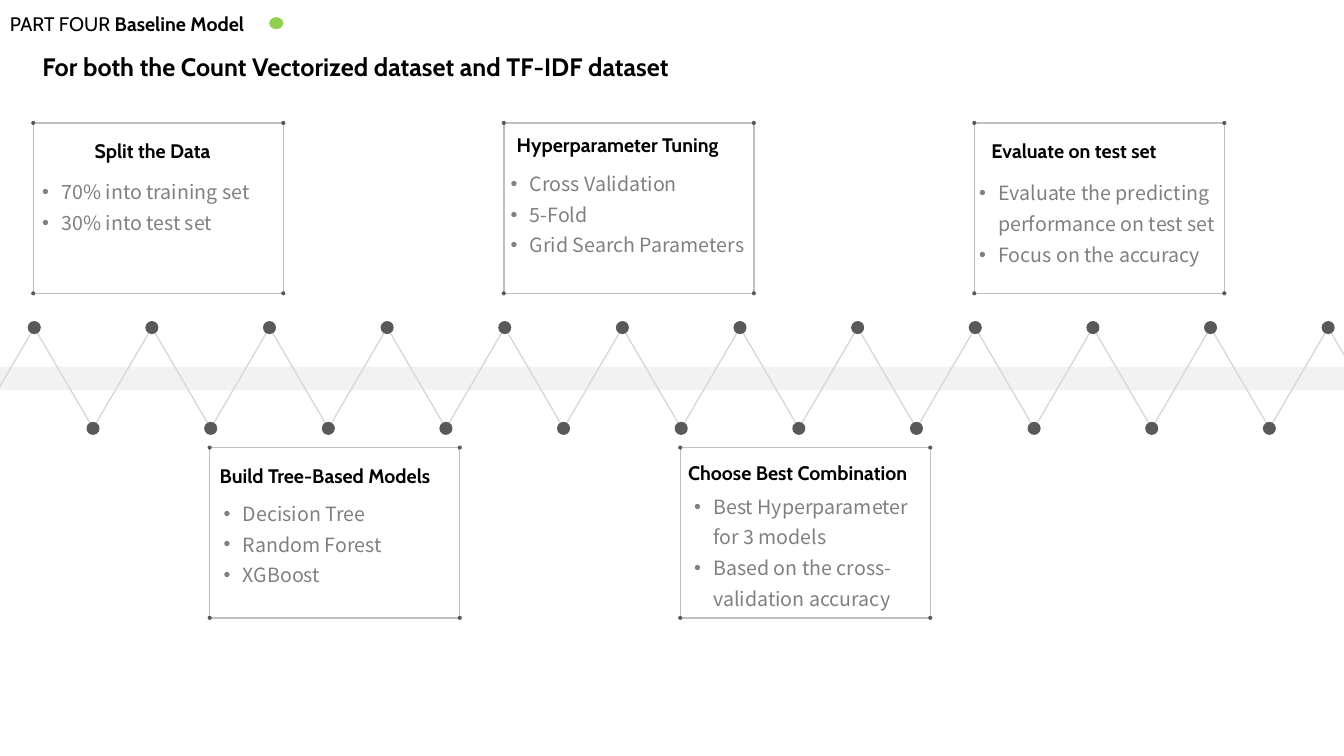
from dataclasses import dataclass

from lxml import etree
from pptx import Presentation
from pptx import util as u
from pptx.dml import color
from pptx.enum import shapes, text
from pptx.oxml import ns

COLORS = {
    "black": "000000", "white": "FFFFFF", "band": "F2F2F2", "zigzag": "D9D9D9",
    "frame": "BFBFBF", "dot": "595959", "body": "808080", "accent": "92D050",
}
HEADING_FONT = "Cabin"
BODY_FONT = "Noto Sans CJK SC"

SLIDE_WIDTH, SLIDE_HEIGHT = 13.33, 7.5
PEAK_COUNT = 12
PITCH = 14 / PEAK_COUNT
FIRST_PEAK = 0.34
ZIGZAG_TOP, ZIGZAG_HEIGHT = 3.25, 1
CARD_WIDTH, CARD_HEIGHT = 2.48, 1.69


@dataclass
class Card:
    """Heading and body boxes are (left, top, width) relative to the card."""
    column: float  # position on the zigzag, in peaks
    top: float
    heading: str
    heading_box: tuple
    bullets: list
    body_box: tuple


CARDS = [
    Card(0, 1.22, "Split the Data", (0.51, 0.11, 1.77),
         ["70% into training set", "30% into test set"], (-0.01, 0.45, 2.39)),
    Card(1.5, 4.44, "Build Tree-Based Models", (0, 0.11, 2.54),
         ["Decision Tree", "Random Forest", "XGBoost"], (0.04, 0.42, 2.39)),
    Card(4, 1.22, "Hyperparameter Tuning", (0.03, 0.05, 2.47),
         ["Cross Validation", "5-Fold", "Grid Search Parameters"], (-0.03, 0.37, 3.54)),
    Card(5.5, 4.44, "Choose Best Combination", (-0.02, 0.08, 2.63),
         ["Best Hyperparameter for 3 models",
          "Based on the cross-validation accuracy"], (0.04, 0.35, 2.39)),
    Card(8, 1.22, "Evaluate on test set", (0.07, 0.11, 2.07),
         ["Evaluate the predicting performance on test set",
          "Focus on the accuracy"], (-0.05, 0.46, 3.03)),
]


def rgb(name):
    return color.RGBColor.from_string(COLORS[name])


def peak_x(column):
    return FIRST_PEAK + column * PITCH


def add_figure(container, kind, left, top, width, height, fill=None, line=None):
    shape = container.add_shape(kind, u.Inches(left), u.Inches(top),
                                u.Inches(width), u.Inches(height))
    shape.shadow.inherit = False
    if fill:
        shape.fill.solid()
        shape.fill.fore_color.rgb = rgb(fill)
    else:
        shape.fill.background()
    if line:
        shape.line.color.rgb = rgb(line)
        shape.line.width = u.Pt(1)
    else:
        shape.line.fill.background()
    return shape


def add_dot(container, x, y, size):
    add_figure(container, shapes.MSO_SHAPE.OVAL, x - size / 2, y - size / 2,
               size, size, fill="dot")


def format_run(run, size, font, color_name, bold=False):
    run.font.size = u.Pt(size)
    run.font.name = font
    run.font.bold = bold
    run.font.color.rgb = rgb(color_name)


def add_text(slide, left, top, width, height, lines):
    box = slide.shapes.add_textbox(u.Inches(left), u.Inches(top),
                                   u.Inches(width), u.Inches(height))
    frame = box.text_frame
    frame.text = "\n".join(lines)
    frame.word_wrap = True
    frame.auto_size = text.MSO_AUTO_SIZE.SHAPE_TO_FIT_TEXT
    return frame


def add_bullet(paragraph):
    properties = paragraph._p.get_or_add_pPr()
    properties.set("marL", str(u.Inches(0.19)))
    properties.set("indent", str(u.Inches(-0.19)))
    font = etree.SubElement(properties, ns.qn("a:buFont"))
    font.set("typeface", "Arial")
    bullet = etree.SubElement(properties, ns.qn("a:buChar"))
    bullet.set("char", "•")


def add_header(slide, left, top):
    # Section label with its green marker
    frame = add_text(slide, left, top, 2.65, 0.34, ["PART FOUR "])
    paragraph = frame.paragraphs[0]
    paragraph.add_run().text = "Baseline Model"
    for run, bold in zip(paragraph.runs, (False, True)):
        format_run(run, 14, HEADING_FONT, "black", bold)
    add_figure(slide.shapes, shapes.MSO_SHAPE.OVAL, left + 2.67, top + 0.1,
               0.14, 0.12, fill="accent")

    # Slide title
    title = slide.shapes.title
    title.left, title.top = u.Inches(left + 0.32), u.Inches(top + 0.39)
    title.width, title.height = u.Inches(7.02), u.Inches(0.4)
    frame = title.text_frame
    frame.text = "For both the Count Vectorized dataset and TF-IDF dataset"
    frame.auto_size = text.MSO_AUTO_SIZE.NONE
    frame.vertical_anchor = text.MSO_ANCHOR.TOP
    frame.paragraphs[0].alignment = text.PP_ALIGN.LEFT
    format_run(frame.paragraphs[0].runs[0], 18, HEADING_FONT, "black", True)


def add_zigzag(slide, top, height):
    bottom = top + height
    group = slide.shapes.add_group_shape().shapes
    add_figure(group, shapes.MSO_SHAPE.RECTANGLE, 0, top + 0.39,
               SLIDE_WIDTH, 0.23, fill="band")
    for column in range(PEAK_COUNT):
        add_figure(group, shapes.MSO_SHAPE.ISOSCELES_TRIANGLE,
                   peak_x(column) - PITCH / 2, top, PITCH, height, line="zigzag")

    # White line covering the triangle bases
    start, end = peak_x(-0.5), peak_x(PEAK_COUNT - 0.5)
    cover = group.add_connector(shapes.MSO_CONNECTOR.STRAIGHT, u.Inches(start),
                                u.Inches(bottom), u.Inches(end), u.Inches(bottom))
    cover.line.color.rgb = rgb("white")
    cover.line.width = u.Pt(3)
    etree.SubElement(cover._element.spPr, ns.qn("a:effectLst"))

    # Dots on peaks and valleys
    for step in range(2 * PEAK_COUNT - 1):
        add_dot(slide.shapes, peak_x(step / 2), bottom if step % 2 else top, 0.13)


def add_card(slide, card, left, top, width, height):
    # Frame with corner dots
    group = slide.shapes.add_group_shape().shapes
    add_figure(group, shapes.MSO_SHAPE.RECTANGLE, left, top, width, height, line="frame")
    for x in (left, left + width):
        for y in (top, top + height):
            add_dot(group, x, y, 0.04)

    # Heading
    dx, dy, text_width = card.heading_box
    frame = add_text(slide, left + dx, top + dy, text_width, 0.34, [card.heading])
    format_run(frame.paragraphs[0].runs[0], 14, HEADING_FONT, "black", True)

    # Bullet list
    dx, dy, text_width = card.body_box
    frame = add_text(slide, left + dx, top + dy, text_width, 0.99, card.bullets)
    for paragraph in frame.paragraphs:
        paragraph.line_spacing = 1.3
        add_bullet(paragraph)
        format_run(paragraph.runs[0], 14, BODY_FONT, "body")


def main():
    presentation = Presentation()
    presentation.slide_width = u.Inches(SLIDE_WIDTH)
    presentation.slide_height = u.Inches(SLIDE_HEIGHT)
    slide = presentation.slides.add_slide(presentation.slide_layouts[5])
    add_zigzag(slide, ZIGZAG_TOP, ZIGZAG_HEIGHT)
    for card in CARDS:
        add_card(slide, card, peak_x(card.column) - 0.01, card.top,
                 CARD_WIDTH, CARD_HEIGHT)
    add_header(slide, 0, 0.07)
    presentation.save("out.pptx")


if __name__ == "__main__":
    main()
